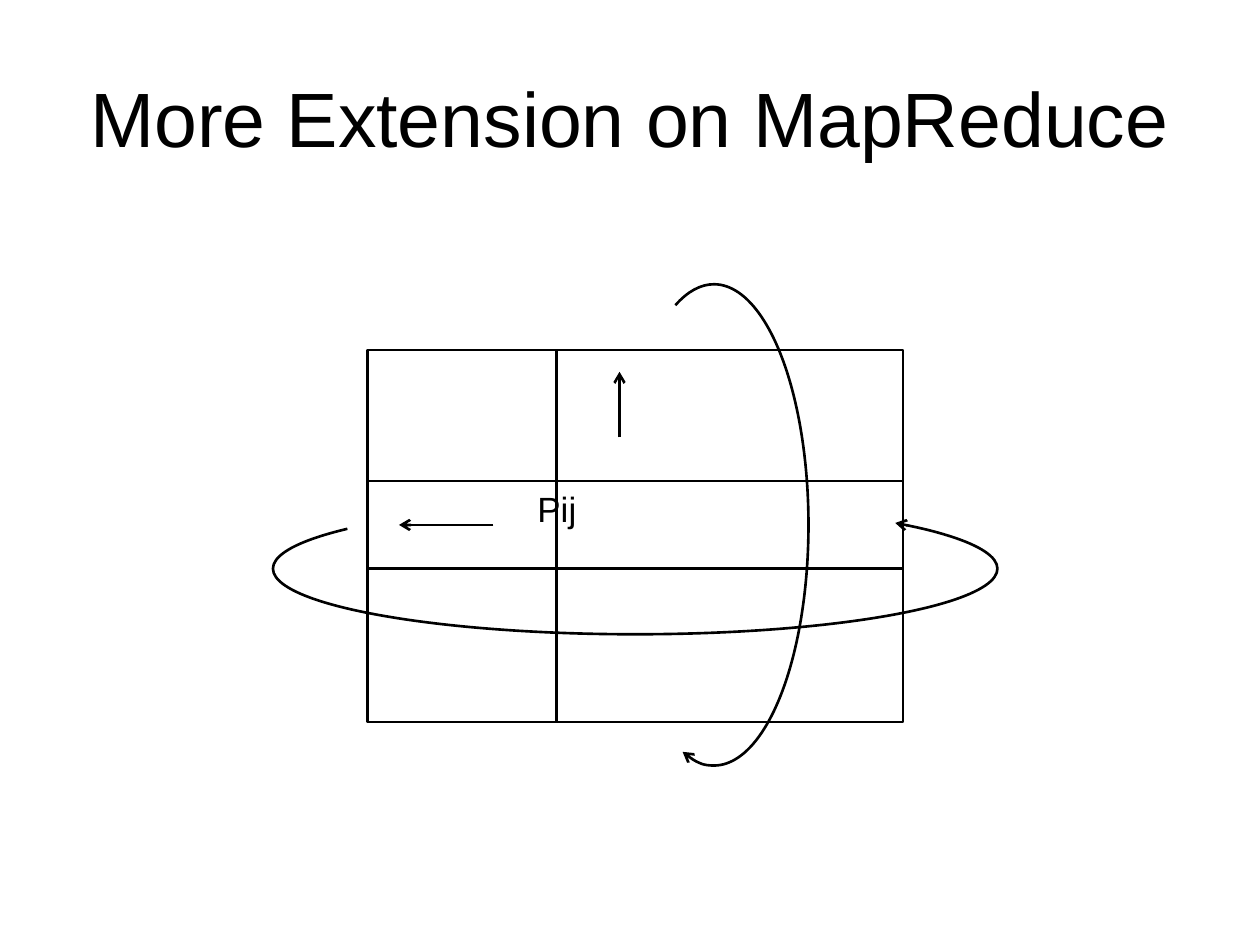
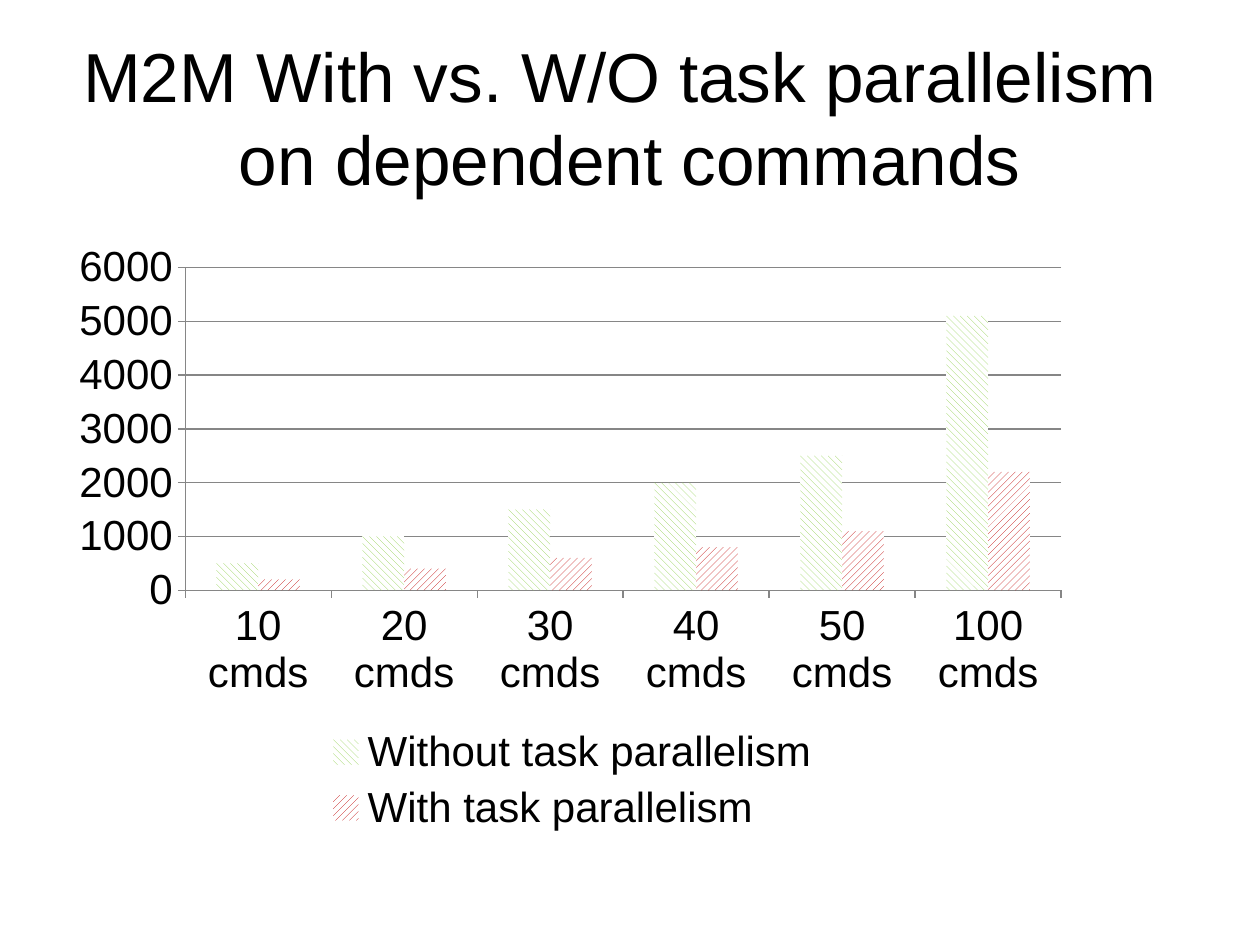
from dataclasses import dataclass

from lxml import etree
from pptx import Presentation
from pptx.chart.data import CategoryChartData
from pptx.dml.color import RGBColor
from pptx.enum.chart import XL_CHART_TYPE, XL_LEGEND_POSITION, XL_TICK_MARK
from pptx.enum.dml import MSO_PATTERN
from pptx.enum.shapes import MSO_CONNECTOR, MSO_SHAPE
from pptx.enum.text import MSO_ANCHOR, PP_ALIGN
from pptx.oxml import parse_xml
from pptx.oxml.ns import qn
from pptx.util import Inches, Pt

COLOURS = {"ink": "000000", "paper": "FFFFFF", "grid": "868686",
           "without": "92D050", "with": "C00000"}
FONT = "Arial"
CLUSTERED = XL_CHART_TYPE.COLUMN_CLUSTERED
LEGEND_BOTTOM = XL_LEGEND_POSITION.BOTTOM
TICK_OUT, TICK_NONE = XL_TICK_MARK.OUTSIDE, XL_TICK_MARK.NONE
DOWN_STRIPES = MSO_PATTERN.WIDE_DOWNWARD_DIAGONAL
UP_STRIPES = MSO_PATTERN.WIDE_UPWARD_DIAGONAL
STRAIGHT = MSO_CONNECTOR.STRAIGHT
RECTANGLE, ARC = MSO_SHAPE.RECTANGLE, MSO_SHAPE.ARC
MIDDLE, CENTER = MSO_ANCHOR.MIDDLE, PP_ALIGN.CENTER
BLANK_LAYOUT = 6
ARC_ANGLES = (103.27, 5.98)


@dataclass
class Box:
    """A rectangle in EMU, divided into columns and rows."""
    left: float
    top: float
    width: float
    height: float
    columns: int = 1
    rows: int = 1

    def point(self, column, row):
        return (round(self.left + column * self.width / self.columns),
                round(self.top + row * self.height / self.rows))

    def area(self, column, row, wide, high, columns=1, rows=1):
        left, top = self.point(column, row)
        return Box(left, top, round(wide * self.width / self.columns),
                   round(high * self.height / self.rows), columns, rows)

    def frame(self):
        return self.left, self.top, self.width, self.height


PAGE = Box(0, 0, Inches(10), Inches(7.5), 120, 90)
TITLE = PAGE.area(6, 3.6, 108, 15)
LATTICE = PAGE.area(35, 33.33, 51, 35.42, columns=51, rows=17)
CHART = PAGE.area(6, 22, 97, 58)


def colour(name):
    return RGBColor.from_string(COLOURS[name])


def style_font(font, size):
    font.name, font.size = FONT, Pt(size)
    font.color.rgb = colour("ink")


def add_text(shapes, box, lines, size):
    """Add a text box with one paragraph, its lines parted by line breaks."""
    text_box = shapes.add_textbox(*box.frame())
    text_box.text_frame.word_wrap = True
    para = text_box.text_frame.paragraphs[0]
    for index, line in enumerate(lines):
        if index:
            para.add_line_break()
        span = para.add_run()
        span.text = line
        style_font(span.font, size)
    return text_box


def add_title(page, lines, size):
    frame = add_text(page.shapes, TITLE, lines, size).text_frame
    frame.vertical_anchor = MIDDLE
    frame.paragraphs[0].alignment = CENTER


def style_line(shape, arrow_end=None):
    """Draw a thin black line; arrow_end is headEnd or tailEnd."""
    shape.line.color.rgb = colour("ink")
    shape.line.width = Pt(1.5)
    if arrow_end:
        outline = shape.line._get_or_add_ln()
        etree.SubElement(outline, qn(f"a:{arrow_end}"), type="arrow")


def add_line(shapes, box, start, end, arrow_end=None):
    line = shapes.add_connector(STRAIGHT, *box.point(*start), *box.point(*end))
    style_line(line, arrow_end)
    etree.SubElement(line._element.spPr, qn("a:effectLst"))


def add_outline(shapes, kind, box, arrow_end=None):
    shape = shapes.add_shape(kind, *box.frame())
    shape.shadow.inherit = False
    shape.fill.background()
    style_line(shape, arrow_end)
    return shape


def add_wrap_arc(shapes, box, arrow_end, upright=False):
    """Add the open loop that fills the box, turned on its side if upright."""
    if upright:
        shift = (box.width - box.height) // 2
        box = Box(box.left + shift, box.top - shift, box.height, box.width)
    arc = add_outline(shapes, ARC, box, arrow_end)
    for index, angle in enumerate(ARC_ANGLES):
        arc.adjustments[index] = angle
    arc._element.spPr.xfrm.set("flipV", "1")
    if upright:
        arc.rotation = 270


def add_process_lattice(page, box):
    """Draw the process grid, with wrap-around shifts along row and column."""
    shapes = page.shapes.add_group_shape().shapes
    add_outline(shapes, RECTANGLE, box)
    add_line(shapes, box, (18, 0), (18, box.rows))
    for row in (6, 10):
        add_line(shapes, box, (0, row), (box.columns, row))
    add_text(shapes, box.area(15, 6, 16, 5), ["Pij"], 20)
    for start, end in (((24, 4), (24, 1)), ((12, 8), (3, 8))):
        add_line(shapes, box, start, end, "tailEnd")
    add_wrap_arc(shapes, box.area(-9, 7, 69, 6), "tailEnd")
    add_wrap_arc(shapes, box.area(24, -3, 18, 22), "headEnd", upright=True)


def place_plot(chart, left, top, width, height):
    """Fix the inner plot area, in shares of the chart's size."""
    plot_area = chart._chartSpace.chart.plotArea
    for layout in plot_area.findall(qn("c:layout")):
        plot_area.remove(layout)
    shares = "".join(f'<c:{tag} val="{share}"/>' for tag, share in
                     zip("xywh", (left, top, width, height)))
    plot_area.insert(0, parse_xml(
        '<c:layout xmlns:c="http://schemas.openxmlformats.org/drawingml/2006/chart">'
        '<c:manualLayout><c:layoutTarget val="inner"/><c:xMode val="edge"/>'
        f'<c:yMode val="edge"/>{shares}</c:manualLayout></c:layout>'))


def add_command_chart(page, box):
    data = CategoryChartData()
    data.categories = [f"{count} cmds" for count in (10, 20, 30, 40, 50, 100)]
    data.add_series("Without task parallelism", (500, 1000, 1500, 2000, 2500, 5100))
    data.add_series("With task parallelism", (200, 400, 600, 800, 1100, 2200))
    chart = page.shapes.add_chart(CLUSTERED, *box.frame(), data).chart
    style_font(chart.font, 24)
    chart.has_title = False
    chart.has_legend = True
    chart.legend.position = LEGEND_BOTTOM
    chart.legend.include_in_layout = False

    plot = chart.plots[0]
    plot.gap_width, plot.overlap, plot.vary_by_categories = 150, 0, False
    fills = ((DOWN_STRIPES, "without"), (UP_STRIPES, "with"))
    for series, (pattern, stripe) in zip(plot.series, fills):
        fill = series.format.fill
        fill.patterned()
        fill.pattern = pattern
        fill.fore_color.rgb = colour(stripe)
        fill.back_color.rgb = colour("paper")

    chart.value_axis.has_major_gridlines = True
    chart.value_axis.maximum_scale, chart.value_axis.minimum_scale = 6000, 0
    chart.value_axis.major_unit = 1000
    for axis in (chart.category_axis, chart.value_axis):
        axis.major_tick_mark, axis.minor_tick_mark = TICK_OUT, TICK_NONE
        axis.format.line.color.rgb = colour("grid")
    chart.value_axis.major_gridlines.format.line.color.rgb = colour("grid")
    place_plot(chart, 0.12, 0.06, 0.86, 0.53)


def add_page(deck):
    page = deck.slides.add_slide(deck.slide_layouts[BLANK_LAYOUT])
    page.background.fill.solid()
    page.background.fill.fore_color.rgb = colour("paper")
    return page


def build_extension_page(deck):
    page = add_page(deck)
    add_title(page, ["More Extension on MapReduce"], 44)
    add_process_lattice(page, LATTICE)


def build_parallelism_page(deck):
    page = add_page(deck)
    add_title(page, ["M2M With vs. W/O task parallelism ",
                     "on dependent commands"], 39.6)
    add_command_chart(page, CHART)


def main():
    deck = Presentation()
    deck.slide_width, deck.slide_height = PAGE.width, PAGE.height
    build_extension_page(deck)
    build_parallelism_page(deck)
    deck.save("out.pptx")


if __name__ == "__main__":
    main()
